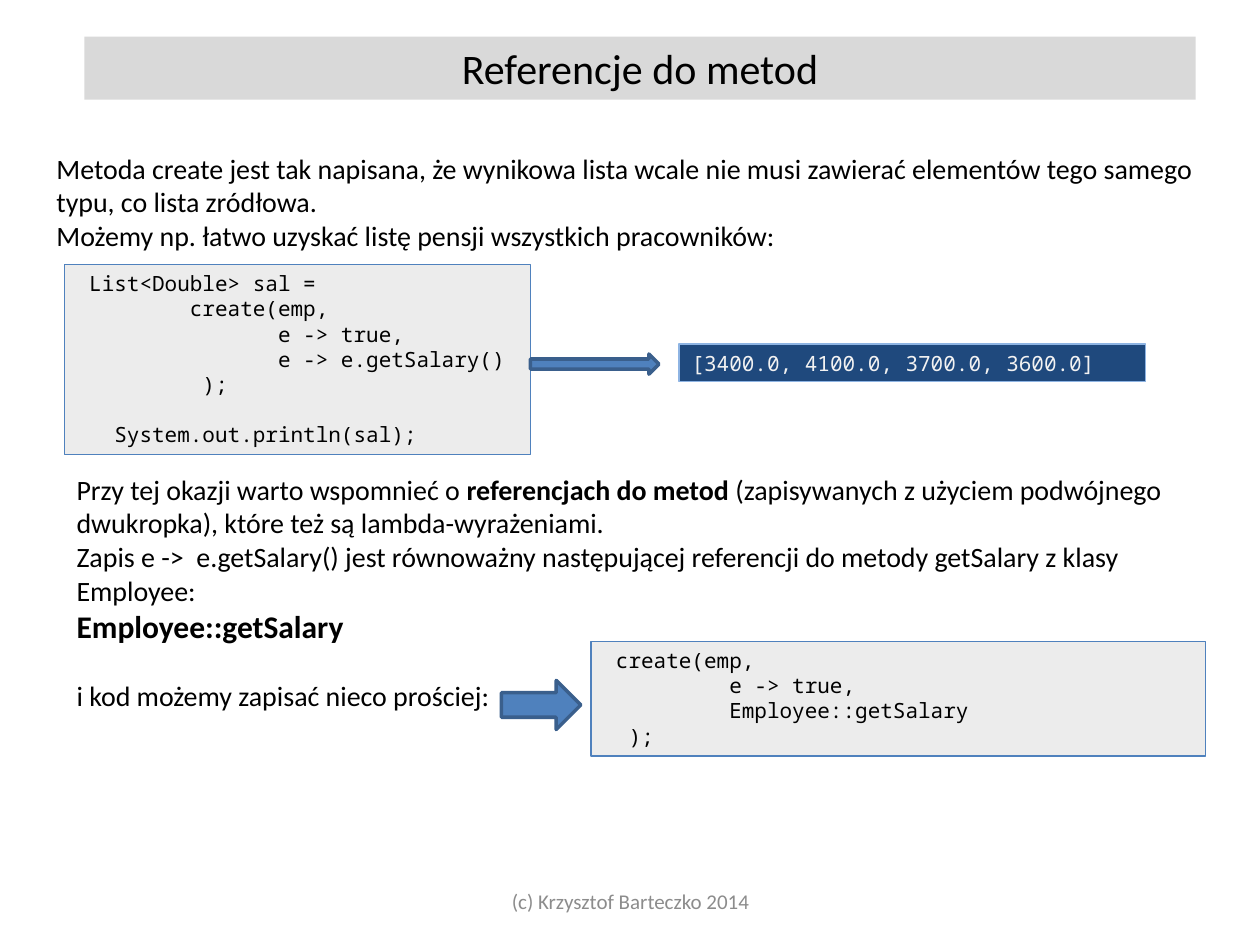
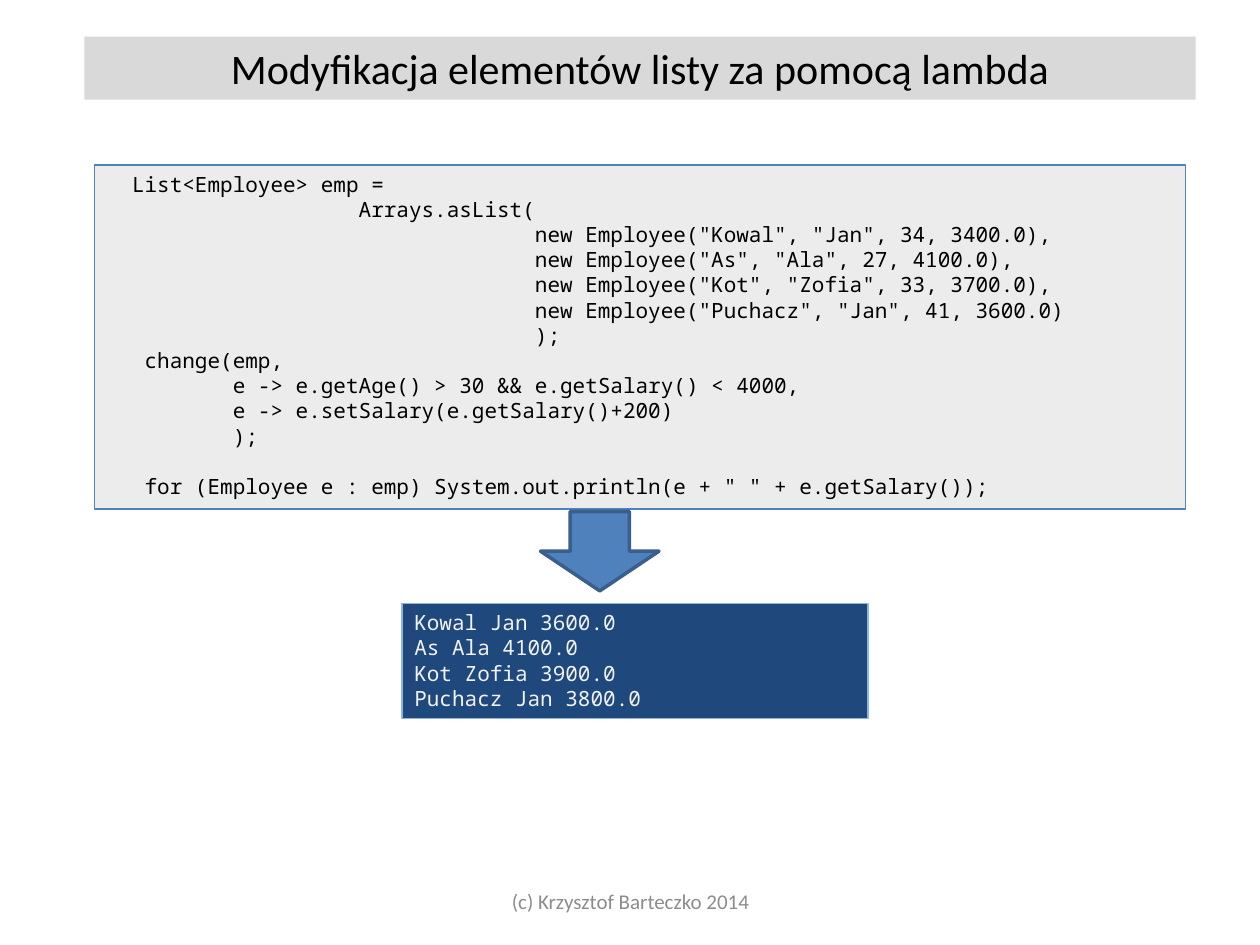
from dataclasses import dataclass
from typing import NamedTuple, Optional

from lxml.etree import SubElement as SubElem
from pptx import Presentation
from pptx.dml.color import RGBColor as Color
from pptx.enum.shapes import MSO_SHAPE as Shape
from pptx.enum.text import MSO_ANCHOR as Anchor, MSO_AUTO_SIZE as Fit, PP_ALIGN as Align
from pptx.oxml.ns import qn
from pptx.util import Inches, Pt


@dataclass(frozen=True)
class Theme:
    sans: str = "Calibri"
    mono: str = "Noto Sans Mono"
    black: str = "000000"
    pale: str = "F2F2F2"
    muted: str = "8C8C8C"
    gray: str = "D9D9D9"
    navy: str = "1F497D"
    blue: str = "4F81BD"
    light: str = "8EB4E3"
    edge: str = "3A5F8C"
    title: int = 24
    lead: int = 18
    body: int = 16
    small: int = 12
    thin: float = 0.75
    thick: float = 2
    glass: int = 48


T = Theme()


class Box(NamedTuple):
    left: float
    top: float
    width: float
    height: float


class Style(NamedTuple):
    font: str
    size: int
    color: str
    gap: float = 0
    align: Align = Align.LEFT
    anchor: Anchor = Anchor.TOP


class Skin(NamedTuple):
    fill: str
    line: str
    weight: float
    alpha: Optional[int] = None


class Panel(NamedTuple):
    box: Box
    text: str
    style: Style
    skin: Skin


class Arrow(NamedTuple):
    box: Box
    kind: Shape


HEAD = Style(T.sans, T.title, T.black, align=Align.CENTER)
FOOT = Style(T.sans, T.small, T.muted, align=Align.CENTER, anchor=Anchor.MIDDLE)
BODY = Style(T.sans, T.body, T.black, gap=19.5)
CODE = Style(T.mono, T.small, T.black, gap=14.4)
PRINT = Style(T.mono, T.small, T.pale)

GLASS = Skin(T.gray, T.blue, T.thin, T.glass)
SCREEN = Skin(T.navy, T.light, T.thin)
POINT = Skin(T.blue, T.edge, T.thick)

TITLE_BOX = Box(0.67, 0.29, 8.82, 0.5)
FOOT_BOX = Box(3.42, 6.95, 3.17, 0.4)
FOOT_TEXT = "(c) Krzysztof Barteczko 2014"

INTRO = """Metoda create jest tak napisana, że wynikowa lista wcale nie musi zawierać elementów tego samego typu, co lista zródłowa.
Możemy np. łatwo uzyskać listę pensji wszystkich pracowników:"""

NOTE = """Przy tej okazji warto wspomnieć o **referencjach do metod** (zapisywanych z użyciem podwójnego dwukropka), które też są lambda-wyrażeniami.
Zapis e ->  e.getSalary() jest równoważny następującej referencji do metody getSalary z klasy Employee:
**Employee::getSalary**

i kod możemy zapisać nieco prościej:"""

SALARY = """ List<Double> sal =
         create(emp,
                e -> true,
                e -> e.getSalary()
          );

   System.out.println(sal);"""

SHORT = """ create(emp,
          e -> true,
          Employee::getSalary
  );"""

CHANGE = """  List<Employee> emp =
                    Arrays.asList(
                                  new Employee("Kowal", "Jan", 34, 3400.0),
                                  new Employee("As", "Ala", 27, 4100.0),
                                  new Employee("Kot", "Zofia", 33, 3700.0),
                                  new Employee("Puchacz", "Jan", 41, 3600.0)
                                  );
   change(emp,
          e -> e.getAge() > 30 && e.getSalary() < 4000,
          e -> e.setSalary(e.getSalary()+200)
          );

   for (Employee e : emp) System.out.println(e + " " + e.getSalary());"""

STAFF = """Kowal Jan 3600.0
As Ala 4100.0
Kot Zofia 3900.0
Puchacz Jan 3800.0"""


def place(box: Box) -> list:
    return [Inches(side) for side in box]


def write(frame, text: str, style: Style) -> None:
    frame.word_wrap = True
    frame.auto_size = Fit.NONE
    frame.vertical_anchor = style.anchor
    blocks = [block.split("\n") for block in text.split("\n\n")]
    frame.text = "\n".join(line.split("**")[0] for block in blocks for line in block)
    paras = iter(frame.paragraphs)
    for num, block in enumerate(blocks):
        for row, line in enumerate(block):
            para = next(paras)
            para.alignment = style.align
            if num and not row:
                para.space_before = Pt(style.gap)
            parts = line.split("**")
            for part in parts[1:]:
                if part:
                    para.add_run().text = part
            strong = {part for part in parts[1::2]}
            for run in para.runs:
                run.font.name = style.font
                run.font.size = Pt(style.size)
                run.font.color.rgb = Color.from_string(style.color)
                run.font.bold = run.text in strong


def paint(shape, skin: Skin) -> None:
    shape.shadow.inherit = False
    shape.fill.solid()
    shape.fill.fore_color.rgb = Color.from_string(skin.fill)
    shape.line.color.rgb = Color.from_string(skin.line)
    shape.line.width = Pt(skin.weight)
    if skin.alpha is not None:
        tint = shape.fill._xPr.find(qn("a:solidFill"))[0]
        SubElem(tint, qn("a:alpha")).set("val", str(skin.alpha * 1000))


def add_text(slide, box: Box, text: str, style: Style):
    frame = slide.shapes.add_textbox(*place(box)).text_frame
    write(frame, text, style)
    return frame


def add_panel(slide, panel: Panel) -> None:
    shape = slide.shapes.add_shape(Shape.RECTANGLE, *place(panel.box))
    paint(shape, panel.skin)
    write(shape.text_frame, panel.text, panel.style)


def add_arrow(slide, arrow: Arrow) -> None:
    paint(slide.shapes.add_shape(arrow.kind, *place(arrow.box)), POINT)


def add_page(deck, title: str, panels: list, arrows: list):
    slide = deck.slides.add_slide(deck.slide_layouts[5])
    head = slide.shapes.title
    head.left, head.top, head.width, head.height = place(TITLE_BOX)
    head.fill.solid()
    head.fill.fore_color.rgb = Color.from_string(T.gray)
    write(head.text_frame, title, HEAD)
    add_text(slide, FOOT_BOX, FOOT_TEXT, FOOT)
    for panel in panels:
        add_panel(slide, panel)
    for arrow in arrows:
        add_arrow(slide, arrow)
    return slide


def main() -> None:
    deck = Presentation()
    deck.slide_width, deck.slide_height = Inches(10), Inches(7.5)

    page = add_page(
        deck,
        "Referencje do metod",
        [
            Panel(Box(0.51, 2.1, 3.7, 1.51), SALARY, CODE, GLASS),
            Panel(Box(4.69, 5.09, 4.88, 0.91), SHORT, CODE, GLASS),
            Panel(Box(5.39, 2.73, 3.7, 0.3), "[3400.0, 4100.0, 3700.0, 3600.0]", PRINT, SCREEN),
        ],
        [
            Arrow(Box(4.21, 2.81, 1.02, 0.16), Shape.RIGHT_ARROW),
            Arrow(Box(3.98, 5.4, 0.63, 0.39), Shape.RIGHT_ARROW),
        ],
    )
    add_text(page, Box(0.35, 1.15, 9.37, 0.91), INTRO, BODY)
    note = add_text(page, Box(0.51, 3.7, 8.9, 2.02), NOTE, BODY)
    for run in note.paragraphs[2].runs:
        run.font.size = Pt(T.lead)

    add_page(
        deck,
        "Modyfikacja elementów listy za pomocą lambda",
        [
            Panel(Box(0.75, 1.31, 8.66, 2.73), CHANGE, CODE, GLASS),
            Panel(Box(3.19, 4.79, 3.7, 0.91), STAFF, PRINT, SCREEN),
        ],
        [Arrow(Box(4.29, 4.06, 0.94, 0.63), Shape.DOWN_ARROW)],
    )
    deck.save("out.pptx")


if __name__ == "__main__":
    main()
